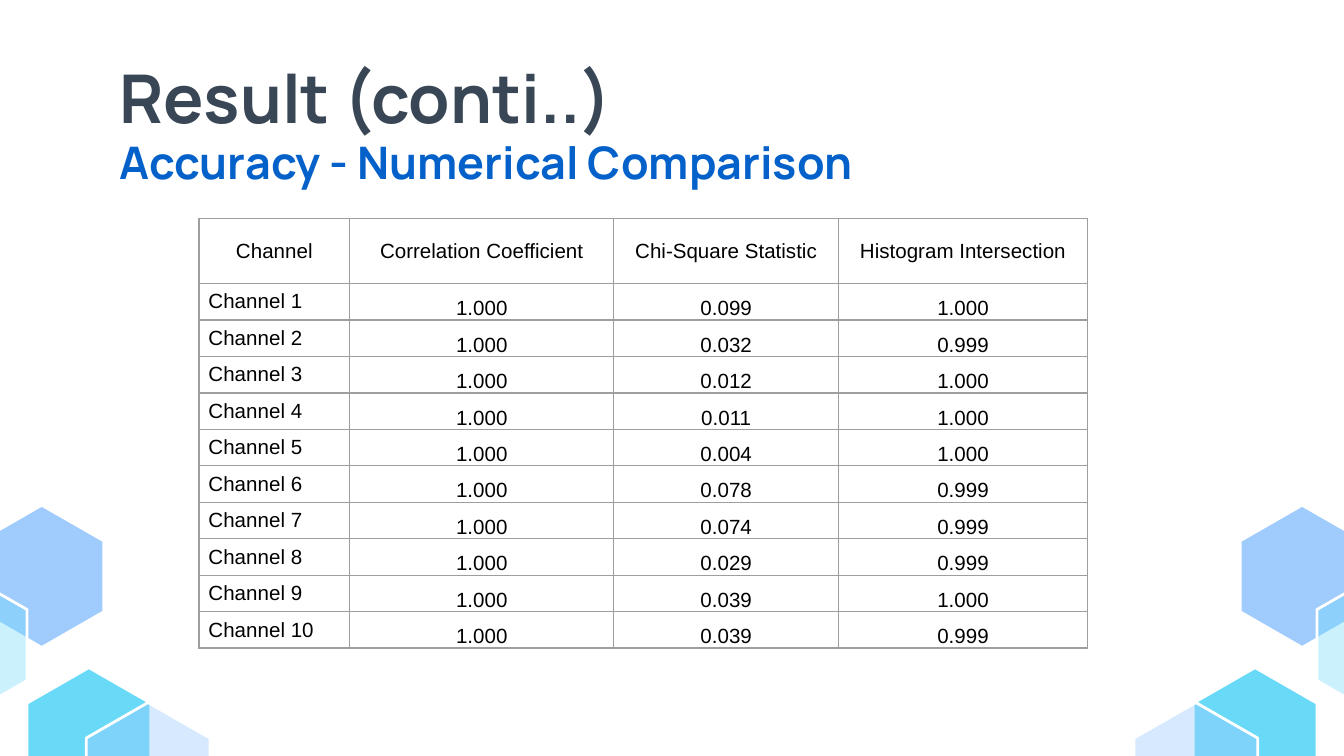
from dataclasses import dataclass
from typing import Any

from lxml.etree import SubElement
from pptx import Presentation
from pptx.dml.color import RGBColor
from pptx.enum.text import MSO_ANCHOR, PP_ALIGN
from pptx.oxml.ns import qn
from pptx.util import Cm, Pt

COLORS = {
    "title": "384655", "subtitle": "0461CA", "text": "000000", "border": "9E9E9E",
    "blue": "9FCBFD", "cyan": "68DAF8", "outline": "FFFFFF",
}
SLIDE_W, SLIDE_H = 25.4, 14.29
HEX_W, HEX_H = 2.34, 2.69


@dataclass(frozen=True)
class Hexagon:
    left: float
    top: float
    color: str
    opacity: int = 100


@dataclass(frozen=True)
class Heading:
    text: str
    top: float
    size: int
    color: str


HEXAGONS = [
    Hexagon(-0.38, 9.55, "blue"),
    Hexagon(0.51, 12.62, "cyan"),
    Hexagon(-1.83, 10.85, "cyan", 34),
    Hexagon(1.63, 13.28, "blue", 41),
]
HEADINGS = [
    Heading("Result (conti..)", 0.81, 36, "title"),
    Heading("Accuracy - Numerical Comparison", 2.29, 24, "subtitle"),
]
HEADER = ["Channel", "Correlation Coefficient", "Chi-Square Statistic", "Histogram Intersection"]
SCORES = [
    ("1.000", "0.099", "1.000"),
    ("1.000", "0.032", "0.999"),
    ("1.000", "0.012", "1.000"),
    ("1.000", "0.011", "1.000"),
    ("1.000", "0.004", "1.000"),
    ("1.000", "0.078", "0.999"),
    ("1.000", "0.074", "0.999"),
    ("1.000", "0.029", "0.999"),
    ("1.000", "0.039", "1.000"),
    ("1.000", "0.039", "0.999"),
]
COL_WIDTHS = [2.85, 4.99, 4.25, 4.7]
HEADER_H, ROW_H = 1.23, 0.69


def rgb(name: str) -> RGBColor:
    """Return the named colour."""
    return RGBColor.from_string(COLORS[name])


def apply(obj: Any, values: dict[str, Any]) -> None:
    """Set every attribute listed in values."""
    for name, value in values.items():
        setattr(obj, name, value)


def write(tf: Any, text: str, font: str, size: int, color: str, bold: bool = False) -> Any:
    """Write one formatted run and return its paragraph."""
    p = tf.paragraphs[0]
    r = p.add_run()
    r.text = text
    apply(r.font, {"name": font, "size": Pt(size), "bold": bold})
    r.font.color.rgb = rgb(color)
    return p


def add_hexagon(s: Any, h: Hexagon, left: float) -> None:
    """Draw an upright hexagon with its box starting at left."""
    mid, right = left + HEX_W / 2, left + HEX_W
    upper, lower, bottom = h.top + HEX_H / 4, h.top + HEX_H * 3 / 4, h.top + HEX_H
    points = [(right, upper), (right, lower), (mid, bottom), (left, lower), (left, upper)]
    fb = s.shapes.build_freeform(Cm(mid), Cm(h.top))
    fb.add_line_segments([(Cm(x), Cm(y)) for x, y in points])
    sp = fb.convert_to_shape()
    sp.shadow.inherit = False
    sp.fill.solid()
    sp.fill.fore_color.rgb = rgb(h.color)
    if h.opacity < 100:
        clr = sp.fill._xPr.find(qn("a:solidFill"))[0]
        SubElement(clr, qn("a:alpha"), val=str(h.opacity * 1000))
    sp.line.color.rgb = rgb("outline")
    sp.line.width = Pt(1.5)


def add_heading(s: Any, h: Heading) -> None:
    """Draw one bold heading line."""
    tf = s.shapes.add_textbox(Cm(2), Cm(h.top), Cm(21.41), Cm(1.6)).text_frame
    margins = {f"margin_{side}": Cm(0.25) for side in ("left", "right", "top", "bottom")}
    apply(tf, {"word_wrap": True, "vertical_anchor": MSO_ANCHOR.TOP, **margins})
    write(tf, h.text, "Manrope", h.size, h.color, True)


def set_borders(cell: Any) -> None:
    """Give a cell thin lines on all four sides."""
    tc_pr = cell._tc.get_or_add_tcPr()
    for side in ("lnL", "lnR", "lnT", "lnB"):
        ln = SubElement(tc_pr, qn(f"a:{side}"), w=str(Pt(0.75)))
        SubElement(SubElement(ln, qn("a:solidFill")), qn("a:srgbClr"), val=COLORS["border"])


def add_score_table(s: Any) -> None:
    """Draw the table of scores for each channel."""
    rows = [HEADER] + [[f"Channel {i}", *row] for i, row in enumerate(SCORES, 1)]
    heights = [HEADER_H] + [ROW_H] * len(SCORES)
    tbl = s.shapes.add_table(len(rows), len(HEADER), Cm(3.76), Cm(4.13),
                             Cm(sum(COL_WIDTHS)), Cm(sum(heights))).table
    apply(tbl, {"first_row": False, "horz_banding": False})
    for col, width in zip(tbl.columns, COL_WIDTHS):
        col.width = Cm(width)
    for i, (row, height) in enumerate(zip(rows, heights)):
        tbl.rows[i].height = Cm(height)
        for j, text in enumerate(row):
            cell = tbl.cell(i, j)
            is_score = i > 0 and j > 0
            apply(cell, {
                "margin_left": Cm(0.18), "margin_right": Cm(0.18),
                "margin_top": 0, "margin_bottom": 0,
                "vertical_anchor": MSO_ANCHOR.BOTTOM if is_score else MSO_ANCHOR.MIDDLE,
            })
            set_borders(cell)
            cell.fill.background()
            p = write(cell.text_frame, text, "Arial", 11, "text")
            p.alignment = PP_ALIGN.CENTER if i == 0 or is_score else PP_ALIGN.LEFT


def main() -> None:
    """Build and save the slide."""
    prs = Presentation()
    apply(prs, {"slide_width": Cm(SLIDE_W), "slide_height": Cm(SLIDE_H)})
    s = prs.slides.add_slide(prs.slide_layouts[6])
    for h in HEXAGONS:
        for left in (h.left, SLIDE_W - h.left - HEX_W):
            add_hexagon(s, h, left)
    for heading in HEADINGS:
        add_heading(s, heading)
    add_score_table(s)
    prs.save("out.pptx")


if __name__ == "__main__":
    main()
